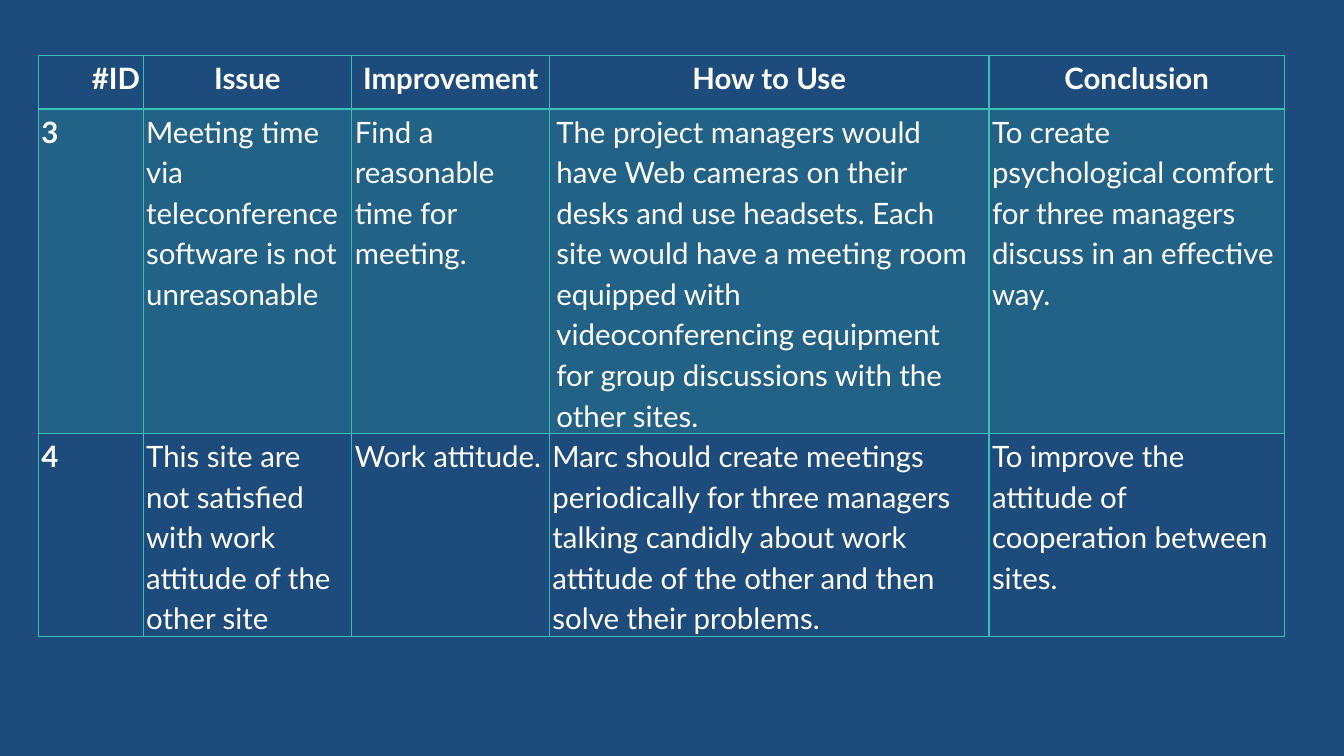
from dataclasses import dataclass

from lxml.etree import SubElement
from pptx import Presentation
from pptx.dml.color import RGBColor
from pptx.enum.text import PP_ALIGN as Align
from pptx.oxml.ns import qn
from pptx.table import _Cell as Cell
from pptx.util import Pt

EMU_PER_PX = 9144
FONT, TEXT_SIZE = "Lato", 21
COLORS = {"background": "1D4C7C", "teal": "3BBEB4", "text": "FFFFFF"}
COLUMN_WIDTHS = [104, 207, 196, 436, 293]
ROW_HEIGHTS = [53, 173, 159]


@dataclass
class Entry:
    text: str
    bold: bool = False
    align: Align = Align.LEFT
    inset: int = 3
    indent: int = 0
    space_before: int = 0


@dataclass
class Row:
    entries: list[Entry]
    shaded: bool = False
    bottom_line: int = 1


def heading(text: str, indent: int = 0) -> Entry:
    return Entry(text, bold=True, align=Align.CENTER, indent=indent)


ROWS = [
    Row([heading("#ID", indent=50), heading("Issue"), heading("Improvement"),
         heading("How to Use"), heading("Conclusion")], bottom_line=2),
    Row([
        Entry("3", bold=True),
        Entry("Meeting time via teleconference software is not unreasonable"),
        Entry("Find a reasonable time for meeting."),
        Entry("The project managers would have Web cameras on their desks and use headsets. "
              "Each site would have a meeting room equipped with videoconferencing equipment "
              "for group discussions with the other sites.", inset=7, space_before=10),
        Entry("To create psychological comfort for three managers discuss in an effective way."),
    ], shaded=True),
    Row([
        Entry("4", bold=True),
        Entry("This site are not satisfied with work attitude of the other site"),
        Entry("Work attitude."),
        Entry("Marc should create meetings periodically for three managers talking candidly "
              "about work attitude of the other and then solve their problems.",
              space_before=10),
        Entry("To improve the attitude of cooperation between sites."),
    ]),
]


def px(length: int) -> int:
    return length * EMU_PER_PX


def color(name: str) -> RGBColor:
    return RGBColor.from_string(COLORS[name])


def draw_borders(cell: Cell, bottom_line: int) -> None:
    properties = cell._tc.get_or_add_tcPr()
    for side, points in {"L": 1, "R": 1, "T": 1, "B": bottom_line}.items():
        line = SubElement(properties, qn(f"a:ln{side}"), w=str(Pt(points)))
        fill = SubElement(line, qn("a:solidFill"))
        SubElement(fill, qn("a:srgbClr"), val=COLORS["teal"])


def fill_cell(cell: Cell, shaded: bool) -> None:
    if not shaded:
        cell.fill.background()
        return
    cell.fill.solid()
    cell.fill.fore_color.rgb = color("teal")
    tint = cell._tc.tcPr.find(f"{qn('a:solidFill')}/{qn('a:srgbClr')}")
    SubElement(tint, qn("a:alpha"), val="20000")


def write_entry(cell: Cell, entry: Entry) -> None:
    cell.margin_left = cell.margin_right = px(entry.inset)
    cell.margin_top = cell.margin_bottom = 0
    cell.text_frame.text = entry.text
    para = cell.text_frame.paragraphs[0]
    para.alignment = entry.align
    para.line_spacing = 1.15
    para.space_before = Pt(entry.space_before)
    para.space_after = Pt(10)
    if entry.indent:
        para._p.get_or_add_pPr().set("marL", str(px(entry.indent)))
    font = para.runs[0].font
    font.name, font.size, font.bold = FONT, Pt(TEXT_SIZE), entry.bold
    font.color.rgb = color("text")


def main() -> None:
    # Page
    deck = Presentation()
    deck.slide_width, deck.slide_height = px(1333), px(750)
    page = deck.slides.add_slide(deck.slide_layouts[6])
    page.background.fill.solid()
    page.background.fill.fore_color.rgb = color("background")

    # Table grid
    frame = page.shapes.add_table(len(ROWS), len(COLUMN_WIDTHS),
                                  px(38), px(55), px(1236), px(571))
    table = frame.table
    table.first_row = table.horz_banding = False
    for column, width in zip(table.columns, COLUMN_WIDTHS):
        column.width = px(width)
    for table_row, height in zip(table.rows, ROW_HEIGHTS):
        table_row.height = px(height)
    frame.height = px(571)

    # Cells
    for table_row, row in zip(table.rows, ROWS):
        for cell, entry in zip(table_row.cells, row.entries):
            draw_borders(cell, row.bottom_line)
            fill_cell(cell, row.shaded)
            write_entry(cell, entry)

    deck.save("out.pptx")


if __name__ == "__main__":
    main()
